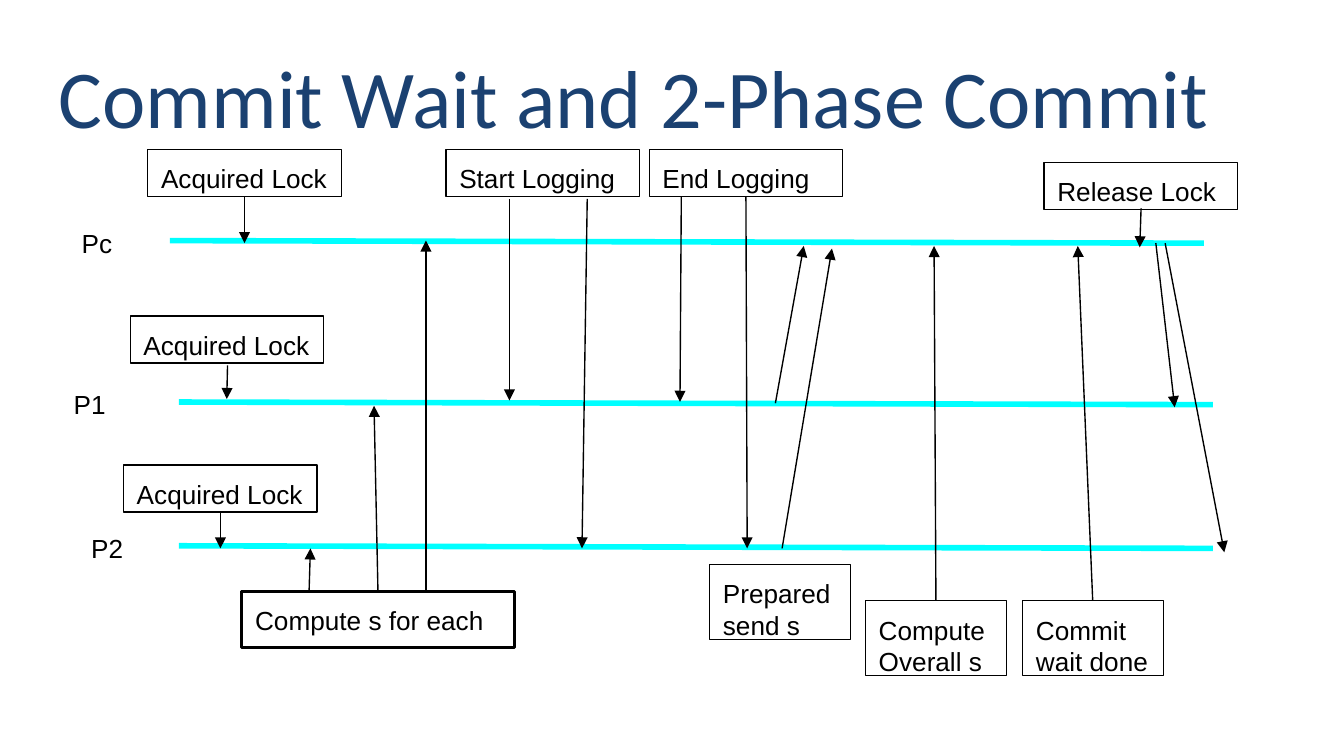
from lxml.etree import SubElement
from pptx import Presentation
from pptx.dml.color import RGBColor as RGB
from pptx.enum.shapes import MSO_CONNECTOR as CONN, MSO_SHAPE as SHAPE
from pptx.enum.text import MSO_ANCHOR as ANCHOR, PP_ALIGN as ALIGN
from pptx.oxml.ns import qn
from pptx.util import Pt

COLORS = {"title": "1B4171", "lane": "00FFFF", "ink": "000000"}
LABEL = {"name": "Arial", "size": Pt(14)}
TITLE = {"name": "Calibri", "size": Pt(44)}
FRAME = {"word_wrap": True, "vertical_anchor": ANCHOR.TOP,
         "margin_left": Pt(7.2), "margin_right": Pt(7.2),
         "margin_top": Pt(7.2), "margin_bottom": Pt(7.2)}


def write(sp, text, font, color):
    tf = sp.text_frame
    for key, value in FRAME.items():
        setattr(tf, key, value)
    p = tf.paragraphs[0]
    p.alignment = ALIGN.LEFT
    r = p.add_run()
    r.text = text
    for key, value in font.items():
        setattr(r.font, key, value)
    r.font.color.rgb = RGB.from_string(COLORS[color])


def draw_line(s, ends, color, width, arrow=False):
    c = s.shapes.add_connector(CONN.STRAIGHT, *map(Pt, ends))
    c.line.color.rgb = RGB.from_string(COLORS[color])
    c.line.width = Pt(width)
    if arrow:
        SubElement(c.line._get_or_add_ln(), qn("a:tailEnd"), type="triangle")
    SubElement(c._element.spPr, qn("a:effectLst"))


prs = Presentation()
prs.slide_width, prs.slide_height = Pt(720), Pt(405)
s = prs.slides.add_slide(prs.slide_layouts[6])

title = s.shapes.add_textbox(Pt(24.5), Pt(17.5), Pt(671), Pt(49))
write(title, "Commit Wait and 2-Phase Commit", TITLE, "title")

lanes = [("Pc", 36.7, 114.5, 91), ("P1", 32.4, 201, 95.8), ("P2", 41.8, 278, 95.8)]
for name, left, top, start in lanes:
    y = top + 14.4
    draw_line(s, (start, y, start + 554, y + 1.4), "lane", 3)
    sp = s.shapes.add_textbox(Pt(left), Pt(top), Pt(44), Pt(30))
    write(sp, name, LABEL, "ink")

EVENT, NOTE, WIDE = (103.7, 25.2, 0.75), (75.4, 40.3, 0.75), (146.2, 30.2, 1.5)
boxes = [
    ("Acquired Lock", 79.2, 80, EVENT),
    ("Acquired Lock", 69.8, 169.2, EVENT),
    ("Acquired Lock", 66.2, 249.1, EVENT),
    ("Start Logging", 239, 80, EVENT),
    ("End Logging", 347.8, 80, EVENT),
    ("Release Lock", 559.4, 87, EVENT),
    ("Compute s for each", 129.6, 316.8, WIDE),
    ("Prepared send s", 380.2, 302.4, NOTE),
    ("Compute Overall s", 463.7, 321.8, NOTE),
    ("Commit wait done", 547.9, 321.8, NOTE),
]
for text, left, top, (width, height, border) in boxes:
    sp = s.shapes.add_shape(SHAPE.RECTANGLE, Pt(left), Pt(top), Pt(width), Pt(height))
    sp.shadow.inherit = False
    sp.fill.background()
    sp.line.color.rgb = RGB.from_string(COLORS["ink"])
    sp.line.width = Pt(border)
    write(sp, text, LABEL, "ink")

arrows = [
    (131, 105.1, 131, 130.3),
    (121.9, 195.8, 121.5, 213.8),
    (118.1, 274.3, 118.1, 293.8),
    (165.6, 316.1, 166.3, 293.8),
    (202.5, 316.8, 200.4, 217.4),
    (228.2, 316.8, 228.2, 128.9),
    (272.9, 106.6, 272.9, 214.6),
    (314.6, 106.6, 311.8, 293.8),
    (365, 105.1, 364.3, 215.3),
    (399.6, 105.1, 400.3, 293.8),
    (415.4, 216, 430.6, 131.8),
    (419, 293.8, 445.7, 133.2),
    (501.4, 321.8, 500.4, 131.8),
    (585.4, 321.8, 577.4, 131.8),
    (611.3, 111.6, 610.6, 132.5),
    (619.2, 130.3, 629.3, 218.2),
    (624.2, 130.3, 655.9, 295.9),
]
for ends in arrows:
    draw_line(s, ends, "ink", 0.75, arrow=True)

prs.save("out.pptx")
